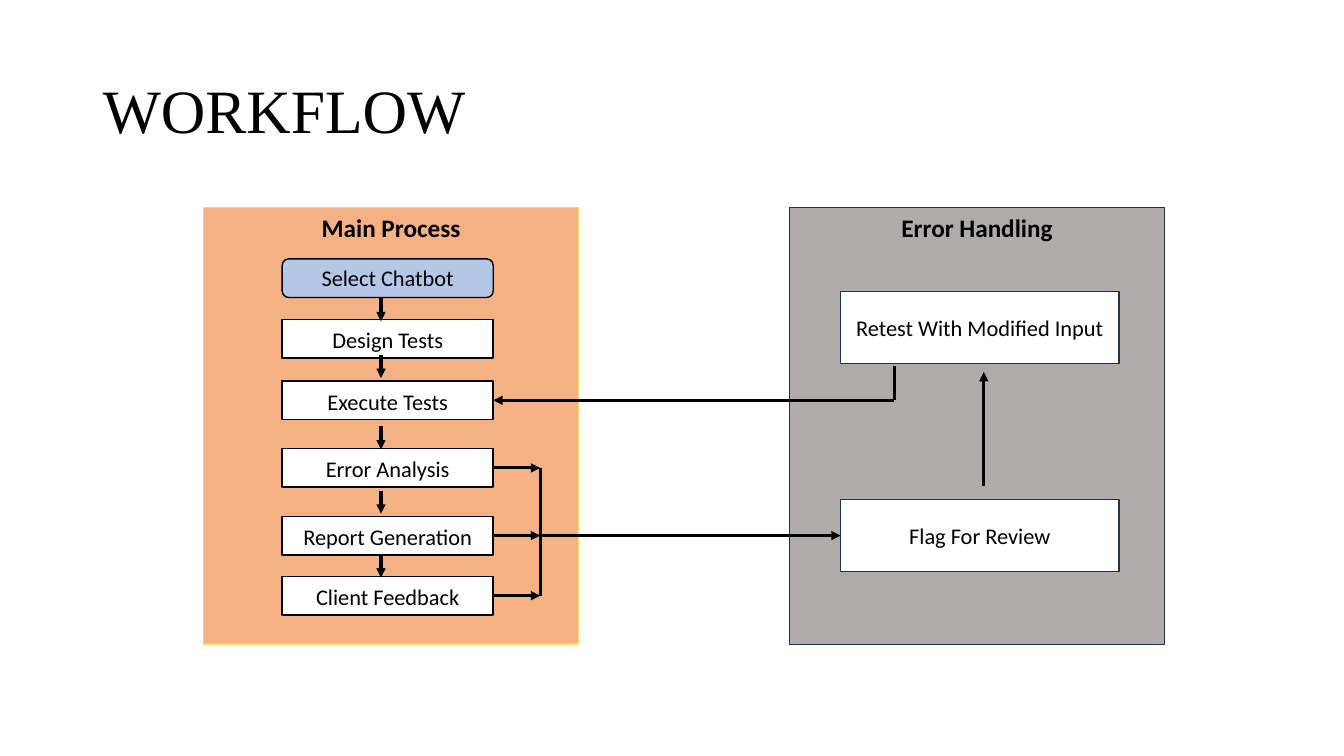
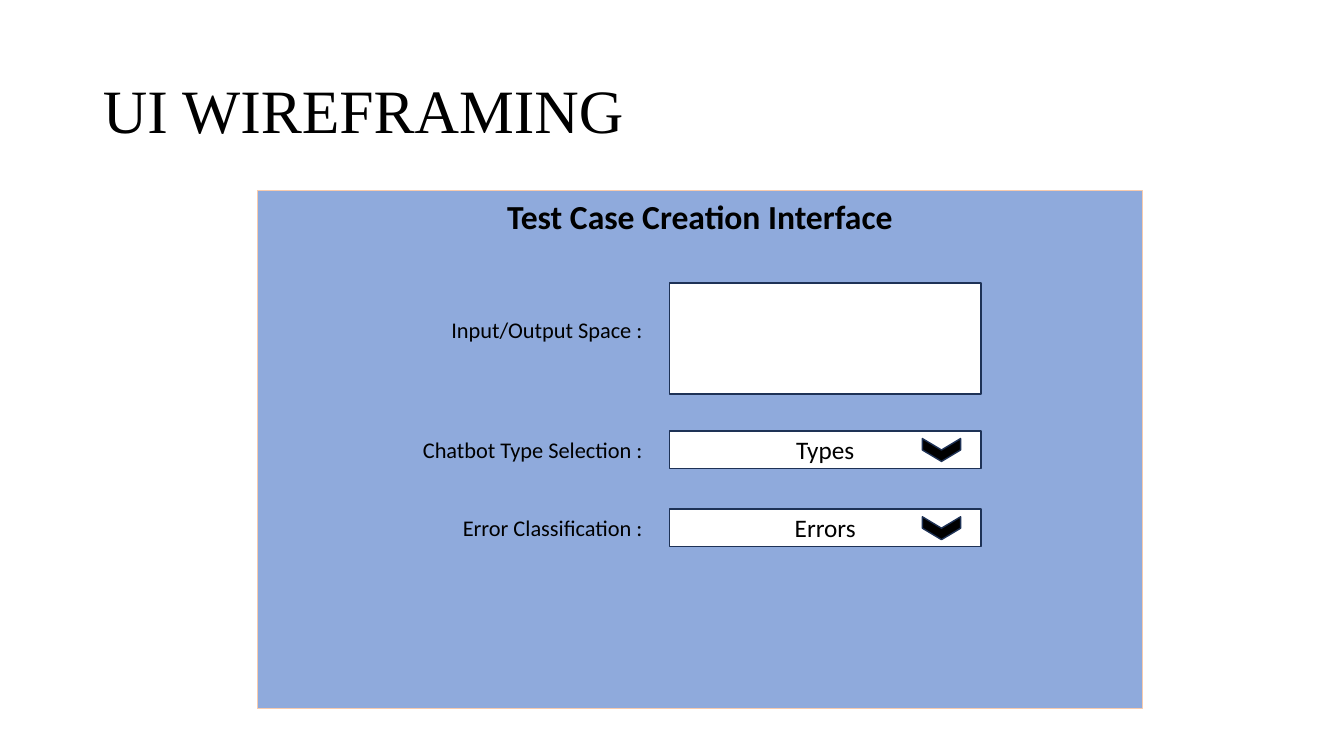
from lxml import etree
from pptx import Presentation
from pptx.dml.color import RGBColor
from pptx.enum.shapes import MSO_CONNECTOR, MSO_SHAPE
from pptx.enum.text import MSO_ANCHOR as Anchor, PP_ALIGN as Align
from pptx.oxml.ns import qn
from pptx.util import Inches, Pt

SLIDE_WIDTH, SLIDE_HEIGHT = Inches(13.33), Inches(7.5)
TITLE_ONLY = 5

BLACK = RGBColor(0x00, 0x00, 0x00)
WHITE = RGBColor(0xFF, 0xFF, 0xFF)
NAVY = RGBColor(0x1E, 0x32, 0x56)
ORANGE = RGBColor(0xF4, 0xB1, 0x83)
YELLOW = RGBColor(0xFF, 0xD9, 0x66)
GREY = RGBColor(0xAF, 0xAB, 0xAB)
PALE_BLUE = RGBColor(0xB4, 0xC7, 0xE7)
BLUE = RGBColor(0x8F, 0xAA, 0xDC)
PEACH = RGBColor(0xF8, 0xCB, 0xAD)

TITLE_FONT, BODY_FONT = "Times New Roman", "Calibri"
LEFT_SIDE, RIGHT_SIDE = 1, 3

# Places and sizes are percentages of the slide's width and height.
STEP_LEFT, STEP_WIDTH, STEP_HEIGHT = 21, 15.7, 5.1
STEPS = [
    ("Select Chatbot", 34.25),
    ("Design Tests", 42.25),
    ("Execute Tests", 50.4),
    ("Error Analysis", 59.35),
    ("Report Generation", 68.3),
    ("Client Feedback", 76.25),
]
STEP_ARROW_X, STEP_ARROW_LENGTH = 28.35, 3.05
STEP_ARROW_TOPS = [39.45, 46.95, 56.4, 64.9, 73.35]
BUS_X = 40.2
REVIEW_LEFT, REVIEW_WIDTH, REVIEW_HEIGHT = 62.55, 20.7, 9.5
RETEST_TOP, FLAG_TOP = 38.55, 66.1
REVIEW_ARROW_X, RETURN_X = 73.2, 66.55

FIELD_LEFT, FIELD_WIDTH, FIELD_HEIGHT = 49.8, 23.2, 4.95
LABEL_LEFT, LABEL_WIDTH = 26.5, 22.05
SELECTORS = [
    ("Chatbot Type Selection :", "Types", 57),
    ("Error Classification :", "Errors", 67.35),
]


def across(share):
    return int(SLIDE_WIDTH * share / 100)


def down(share):
    return int(SLIDE_HEIGHT * share / 100)


def place(left, top, width, height):
    return across(left), down(top), across(width), down(height)


def write(shape, text, size, font=BODY_FONT, bold=False,
          align=Align.CENTER, anchor=Anchor.MIDDLE):
    frame = shape.text_frame
    frame.text = text
    frame.word_wrap = True
    frame.vertical_anchor = anchor
    paragraph = frame.paragraphs[0]
    paragraph.alignment = align
    run_font = paragraph.runs[0].font
    run_font.name, run_font.size, run_font.bold = font, Pt(size), bold
    run_font.color.rgb = BLACK


def add_titled_slide(presentation, title):
    slide = presentation.slides.add_slide(presentation.slide_layouts[TITLE_ONLY])
    shape = slide.shapes.title
    shape.left, shape.top, shape.width, shape.height = place(6.9, 5.35, 86.25, 19.35)
    write(shape, title, 44, font=TITLE_FONT, align=Align.LEFT)
    shape.text_frame.paragraphs[0].line_spacing = 0.9
    return slide


def add_box(slide, box, fill=WHITE, line=NAVY, kind=MSO_SHAPE.RECTANGLE):
    shape = slide.shapes.add_shape(kind, *place(*box))
    shape.shadow.inherit = False
    shape.fill.solid()
    shape.fill.fore_color.rgb = fill
    shape.line.color.rgb = line
    shape.line.width = Pt(1)
    return shape


def add_panel(slide, box, heading, size, fill, line):
    panel = add_box(slide, box, fill, line)
    write(panel, heading, size, bold=True, anchor=Anchor.TOP)


def add_line(slide, start, end, arrow=True, begin_side=None, end_side=None):
    """Draw a line; begin_side and end_side are (shape, side) pairs to join."""
    connector = slide.shapes.add_connector(
        MSO_CONNECTOR.STRAIGHT,
        across(start[0]), down(start[1]), across(end[0]), down(end[1]))
    if begin_side:
        connector.begin_connect(*begin_side)
    if end_side:
        connector.end_connect(*end_side)
    connector.line.color.rgb = BLACK
    connector.line.width = Pt(2.25)
    if arrow:
        outline = connector.line._get_or_add_ln()
        etree.SubElement(outline, qn("a:tailEnd"), type="triangle")
    etree.SubElement(connector._element.spPr, qn("a:effectLst"))


def add_step(slide, text, top):
    first = text == STEPS[0][0]
    step = add_box(
        slide, (STEP_LEFT, top, STEP_WIDTH, STEP_HEIGHT),
        fill=PALE_BLUE if first else WHITE, line=BLACK,
        kind=MSO_SHAPE.FLOWCHART_ALTERNATE_PROCESS if first else MSO_SHAPE.RECTANGLE)
    write(step, text, 16, anchor=Anchor.BOTTOM)
    return step


def add_review_box(slide, text, top):
    box = add_box(slide, (REVIEW_LEFT, top, REVIEW_WIDTH, REVIEW_HEIGHT))
    write(box, text, 16)
    return box


def add_label(slide, text, top):
    label = slide.shapes.add_textbox(*place(LABEL_LEFT, top, LABEL_WIDTH, FIELD_HEIGHT))
    write(label, text, 16, align=Align.RIGHT, anchor=Anchor.TOP)


def add_selector(slide, label, value, top):
    """Add a label with its drop-down field."""
    add_label(slide, label, top)
    field = add_box(slide, (FIELD_LEFT, top, FIELD_WIDTH, FIELD_HEIGHT))
    write(field, value, 18)
    chevron = add_box(slide, (69.2, top, 1.7, 5.05), BLACK, NAVY, MSO_SHAPE.CHEVRON)
    chevron.rotation = 90


def build_workflow(presentation):
    slide = add_titled_slide(presentation, "WORKFLOW")
    add_panel(slide, (15.15, 27.45, 27.9, 57.75), "Main Process", 18, ORANGE, YELLOW)
    add_panel(slide, (58.75, 27.45, 27.9, 57.85), "Error Handling", 18, GREY, NAVY)

    steps = [add_step(slide, text, top) for text, top in STEPS]
    middles = [top + STEP_HEIGHT / 2 for _, top in STEPS]
    add_review_box(slide, "Retest With Modified Input", RETEST_TOP)
    flag = add_review_box(slide, "Flag For Review", FLAG_TOP)

    for top in STEP_ARROW_TOPS:
        add_line(slide, (STEP_ARROW_X, top), (STEP_ARROW_X, top + STEP_ARROW_LENGTH))
    add_line(slide, (REVIEW_ARROW_X, 64.25), (REVIEW_ARROW_X, 49.2))

    step_right = STEP_LEFT + STEP_WIDTH
    for step, middle in zip(steps[3:], middles[3:]):
        add_line(slide, (step_right, middle), (BUS_X, middle),
                 begin_side=(step, RIGHT_SIDE))
    add_line(slide, (BUS_X, middles[3]), (BUS_X, middles[5]), arrow=False)
    add_line(slide, (BUS_X, middles[4]), (REVIEW_LEFT, middles[4]),
             end_side=(flag, LEFT_SIDE))

    add_line(slide, (RETURN_X, 48.4), (RETURN_X, middles[2]), arrow=False)
    add_line(slide, (RETURN_X, middles[2]), (step_right, middles[2]),
             end_side=(steps[2], RIGHT_SIDE))


def build_wireframe(presentation):
    slide = add_titled_slide(presentation, "UI WIREFRAMING")
    add_panel(slide, (19.15, 25.2, 65.85, 68.55), "Test Case Creation Interface",
              24, BLUE, PEACH)
    add_label(slide, "Input/Output Space :", 41.2)
    add_box(slide, (FIELD_LEFT, 37.45, FIELD_WIDTH, 14.65))
    for label, value, top in SELECTORS:
        add_selector(slide, label, value, top)


def main():
    presentation = Presentation()
    presentation.slide_width, presentation.slide_height = SLIDE_WIDTH, SLIDE_HEIGHT
    build_workflow(presentation)
    build_wireframe(presentation)
    presentation.save("out.pptx")


if __name__ == "__main__":
    main()
